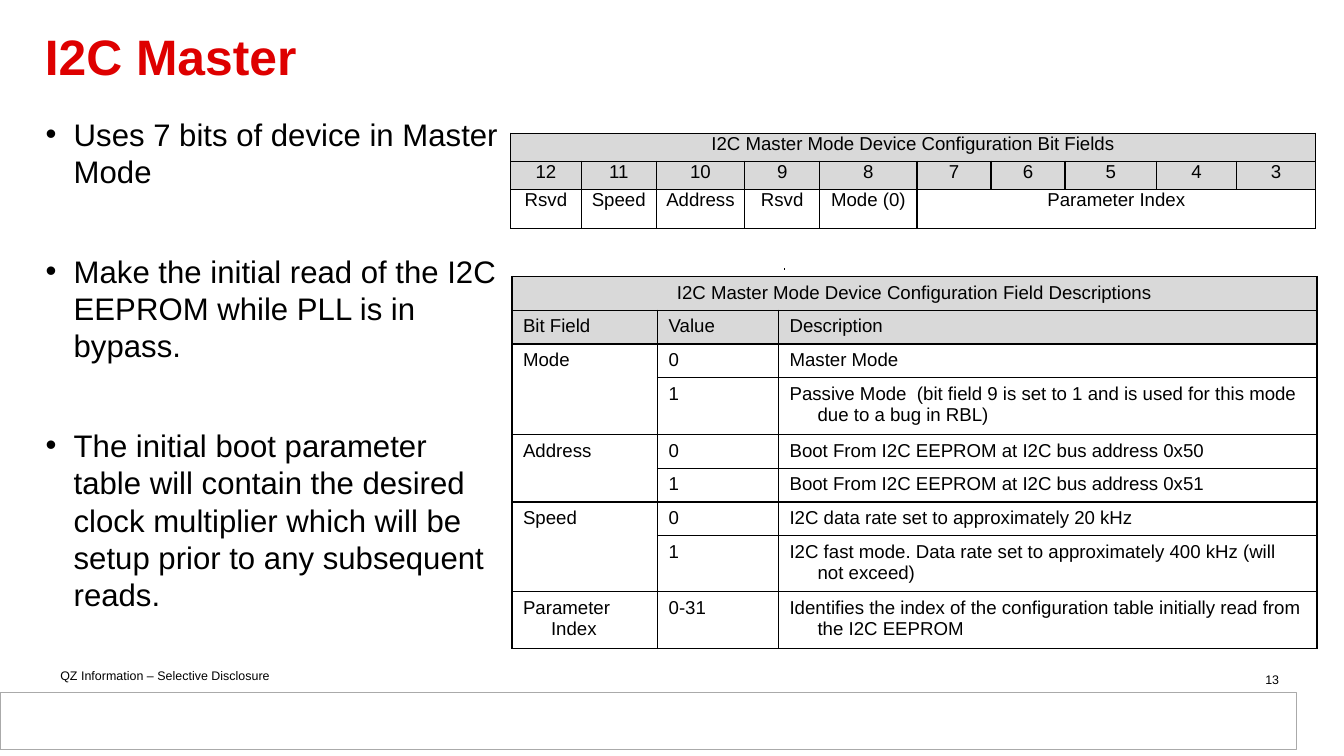
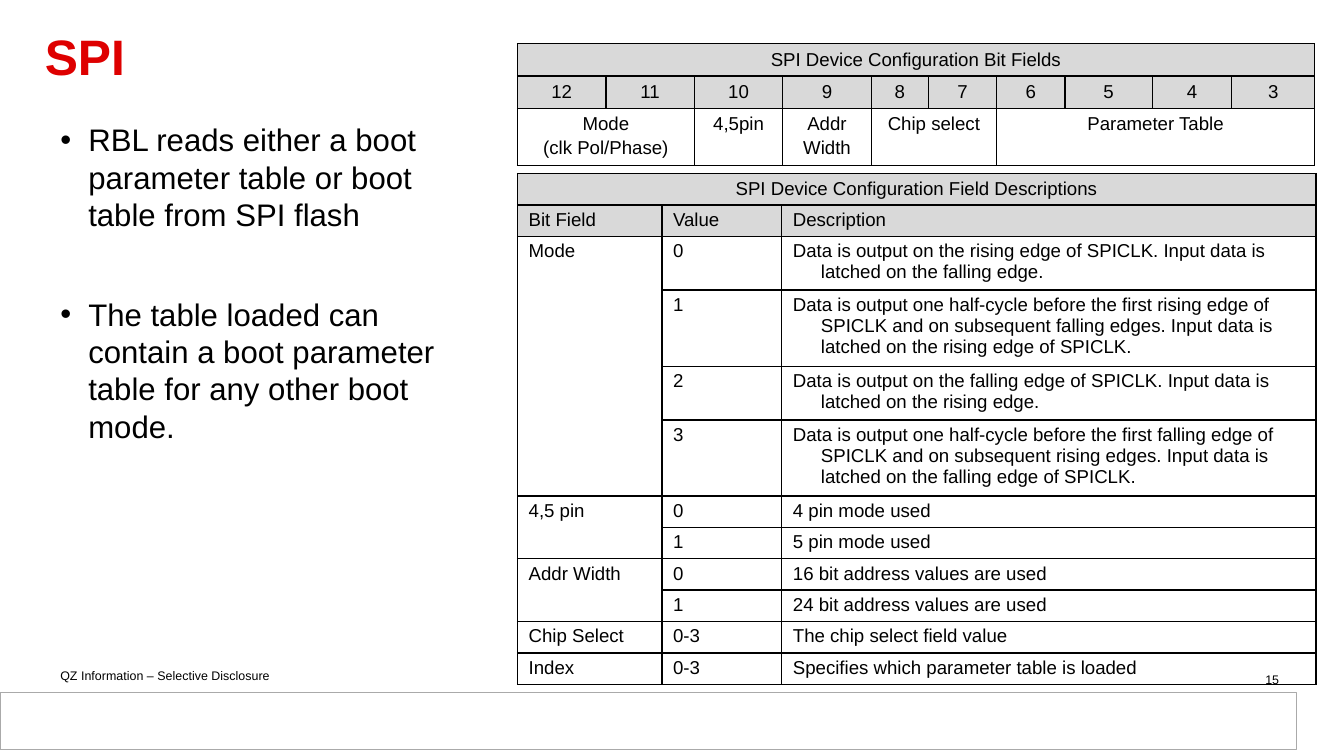
from pptx import Presentation
from pptx.dml.color import RGBColor
from pptx.enum import shapes, text
from pptx.oxml.ns import qn
from pptx.util import Inches, Pt
from lxml import etree

# Shared look
BLACK = RGBColor(0, 0, 0)
WHITE = RGBColor(255, 255, 255)
RED = RGBColor(0xDE, 0, 0)
GREY = RGBColor(0xD9, 0xD9, 0xD9)
EDGE = RGBColor(0xAA, 0xAA, 0xAA)
FONT = "Arial"
LEFT, MID, RIGHT = text.PP_ALIGN.LEFT, text.PP_ALIGN.CENTER, text.PP_ALIGN.RIGHT
FOOT = "QZ Information – Selective Disclosure"
HEAD = ["Bit Field", "Value", "Description"]
BITS = ["12", "11", "10", "9", "8", "7", "6", "5", "4", "3"]

# Content: None in the first column continues the cell above,
# elsewhere it continues the cell to the left.
I2C_BITS = dict(
    at=(4.56, 1.19), pad=(0.07, 0), gap=None, hang=0,
    cols=[0.63, 0.67, 0.79, 0.67, 0.87, 0.66, 0.66, 0.82, 0.71, 0.71],
    rows=[0.25, 0.25, 0.35],
    cells=[
        ["I2C Master Mode Device Configuration Bit Fields"] + [None] * 9,
        BITS,
        ["Rsvd", "Speed", "Address", "Rsvd", "Mode (0)",
         "Parameter Index"] + [None] * 4,
    ])
I2C_FIELDS = dict(
    at=(4.57, 2.47), pad=(0.1, 0.05), gap=None, hang=0.25,
    cols=[1.3, 1.08, 4.81],
    rows=[0.3] * 3 + [0.51] + [0.3] * 3 + [0.5, 0.51],
    cells=[
        ["I2C Master Mode Device Configuration Field Descriptions", None, None],
        HEAD,
        ["Mode", "0", "Master Mode"],
        [None, "1", "Passive Mode  (bit field 9 is set to 1 and is used for "
                    "this mode due to a bug in RBL)"],
        ["Address", "0", "Boot From I2C EEPROM at I2C bus address 0x50"],
        [None, "1", "Boot From I2C EEPROM at I2C bus address 0x51"],
        ["Speed", "0", "I2C data rate set to approximately 20 kHz"],
        [None, "1", "I2C fast mode. Data rate set to approximately 400 kHz "
                    "(will not exceed)"],
        ["Parameter Index", "0-31", "Identifies the index of the configuration "
                                    "table initially read from the I2C EEPROM"],
    ])
SPI_BITS = dict(
    at=(4.62, 0.39), pad=(0.07, 0.02), gap=1.15, hang=0,
    cols=[0.79] * 4 + [0.51, 0.61, 0.61, 0.78, 0.71, 0.74],
    rows=[0.29, 0.29, 0.51],
    cells=[
        ["SPI Device Configuration Bit Fields"] + [None] * 9,
        BITS,
        ["Mode\n(clk Pol/Phase)", None, "4,5pin", "Addr Width",
         "Chip select", None, "Parameter Table"] + [None] * 3,
    ])
# Tighter padding keeps the last row above the footer band
SPI_FIELDS = dict(
    at=(4.62, 1.55), pad=(0.1, 0.04), gap=None, hang=0.25,
    cols=[1.29, 1.07, 4.77],
    rows=[0.27, 0.27] + [0.45, 0.63] * 2 + [0.27] * 6,
    cells=[
        ["SPI Device Configuration Field Descriptions", None, None],
        HEAD,
        ["Mode", "0", "Data is output on the rising edge of SPICLK. Input "
                      "data is latched on the falling edge."],
        [None, "1", "Data is output one half-cycle before the first rising "
                    "edge of SPICLK and on subsequent falling edges. Input "
                    "data is latched on the rising edge of SPICLK."],
        [None, "2", "Data is output on the falling edge of SPICLK. Input "
                    "data is latched on the rising edge."],
        [None, "3", "Data is output one half-cycle before the first falling "
                    "edge of SPICLK and on subsequent rising edges. Input "
                    "data is latched on the falling edge of SPICLK."],
        ["4,5 pin", "0", "4 pin mode used"],
        [None, "1", "5 pin mode used"],
        ["Addr Width", "0", "16 bit address values are used"],
        [None, "1", "24 bit address values are used"],
        ["Chip Select", "0-3", "The chip select field value"],
        ["Index", "0-3", "Specifies which parameter table is loaded"],
    ])
SLIDES = [
    dict(title="I2C Master", page="13", body=(0.31, 0.98, 4.26, 4.87),
         points=["Uses 7 bits of device in Master Mode",
                 "Make the initial read of the I2C EEPROM while PLL is in "
                 "bypass.",
                 "The initial boot parameter table will contain the desired "
                 "clock multiplier which will be setup prior to any "
                 "subsequent reads."],
         tables=[I2C_FIELDS, I2C_BITS], dot=(7, 2.4)),
    dict(title="SPI", page="15", body=(0.44, 1.03, 3.97, 4.87),
         points=["RBL reads either a boot parameter table or boot table from "
                 "SPI flash",
                 "The table loaded can contain a boot parameter table for any "
                 "other boot mode."],
         tables=[SPI_FIELDS, SPI_BITS], dot=None),
]


def write(frame, lines, size=12, color=BLACK, bold=False, align=LEFT,
          gap=None, hang=0, bullet=None, first=0, before=0):
    """Fill a text frame, one paragraph per line."""
    frame.word_wrap = True
    for i, line in enumerate(lines):
        p = frame.paragraphs[0] if i == 0 else frame.add_paragraph()
        p.alignment = align
        p.space_before = Pt(before if i else first)
        if gap:
            p.line_spacing = gap
        run = p.add_run()
        run.text = line
        font = run.font
        font.name, font.size, font.bold = FONT, Pt(size), bold
        font.color.rgb = color
        props = p._p.get_or_add_pPr()
        if hang:
            props.set("marL", str(Inches(hang)))
            props.set("indent", str(-Inches(hang)))
        if bullet:
            etree.SubElement(props, qn("a:buFont")).set("typeface", FONT)
            etree.SubElement(props, qn("a:buChar")).set("char", bullet)


def place(x, y, w, h):
    return Inches(x), Inches(y), Inches(w), Inches(h)


def label(slide, at, lines, **form):
    write(slide.shapes.add_textbox(*place(*at)).text_frame, lines, **form)


def border(cell):
    """Draw all four sides of a cell."""
    props = cell._tc.get_or_add_tcPr()
    for side in ("lnL", "lnR", "lnT", "lnB"):
        line = etree.SubElement(props, qn("a:" + side), w=str(Pt(1)))
        fill = etree.SubElement(line, qn("a:solidFill"))
        etree.SubElement(fill, qn("a:srgbClr")).set("val", str(BLACK))


def run_of(items):
    """Count the continued cells that lead a list."""
    count = 0
    while count < len(items) and items[count] is None:
        count += 1
    return count


def grid(slide, at, pad, gap, hang, cols, rows, cells):
    table = slide.shapes.add_table(
        len(rows), len(cols), *place(*at, sum(cols), sum(rows))).table
    table.first_row = table.horz_banding = False
    for col, w in zip(table.columns, cols):
        col.width = Inches(w)
    for row, h in zip(table.rows, rows):
        row.height = Inches(h)
    for r, line in enumerate(cells):
        for c, words in enumerate(line):
            cell = table.cell(r, c)
            border(cell)
            if r < 2:
                cell.fill.solid()
                cell.fill.fore_color.rgb = GREY
            else:
                cell.fill.background()
            if words is None:
                continue
            cell.margin_left = cell.margin_right = Inches(pad[0])
            cell.margin_top = cell.margin_bottom = Inches(pad[1])
            write(cell.text_frame, words.split("\n"), gap=gap, hang=hang,
                  align=LEFT if hang and r else MID)
            wide = run_of(line[c + 1:])
            tall = run_of([x[0] for x in cells[r + 1:]]) if c == 0 else 0
            if wide or tall:
                cell.merge(table.cell(r + tall, c + wide))


def frame(slide, title, page):
    """Footer, band, title and page number."""
    label(slide, (0.44, 5.92, 2.77, 0.24), [FOOT], size=8)
    band = slide.shapes.add_shape(shapes.MSO_SHAPE.RECTANGLE,
                                  *place(0, 6.18, 11.58, 0.51))
    band.shadow.inherit = False
    band.fill.solid()
    band.fill.fore_color.rgb = WHITE
    band.line.color.rgb = EDGE
    band.line.width = Pt(0.75)
    head = slide.shapes.title
    head.left, head.top, head.width, head.height = place(0.3, 0.14, 11.1, 0.8)
    head.text_frame.auto_size = text.MSO_AUTO_SIZE.NONE
    head.text_frame.vertical_anchor = text.MSO_ANCHOR.MIDDLE
    write(head.text_frame, [title], size=32, color=RED, bold=True, gap=0.85)
    label(slide, (8.72, 5.95, 2.8, 0.2), [page], size=8, align=RIGHT)


def speck(slide, x, y):
    """A line so short that it is seen as a dot."""
    line = slide.shapes.add_connector(
        shapes.MSO_CONNECTOR.STRAIGHT, *place(x, y, x + 0.01, y))
    line.line.color.rgb = BLACK
    line.line.width = Pt(1)
    etree.SubElement(line._element.spPr, qn("a:effectLst"))


# Build
deck = Presentation()
deck.slide_width, deck.slide_height = Inches(12), Inches(6.75)
for data in SLIDES:
    slide = deck.slides.add_slide(deck.slide_layouts[5])
    frame(slide, data["title"], data["page"])
    label(slide, data["body"], data["points"], size=20, hang=0.25,
          bullet="•", first=8, before=40)
    fields, bits = data["tables"]
    grid(slide, **fields)
    if data["dot"]:
        speck(slide, *data["dot"])
    grid(slide, **bits)
deck.save("out.pptx")
